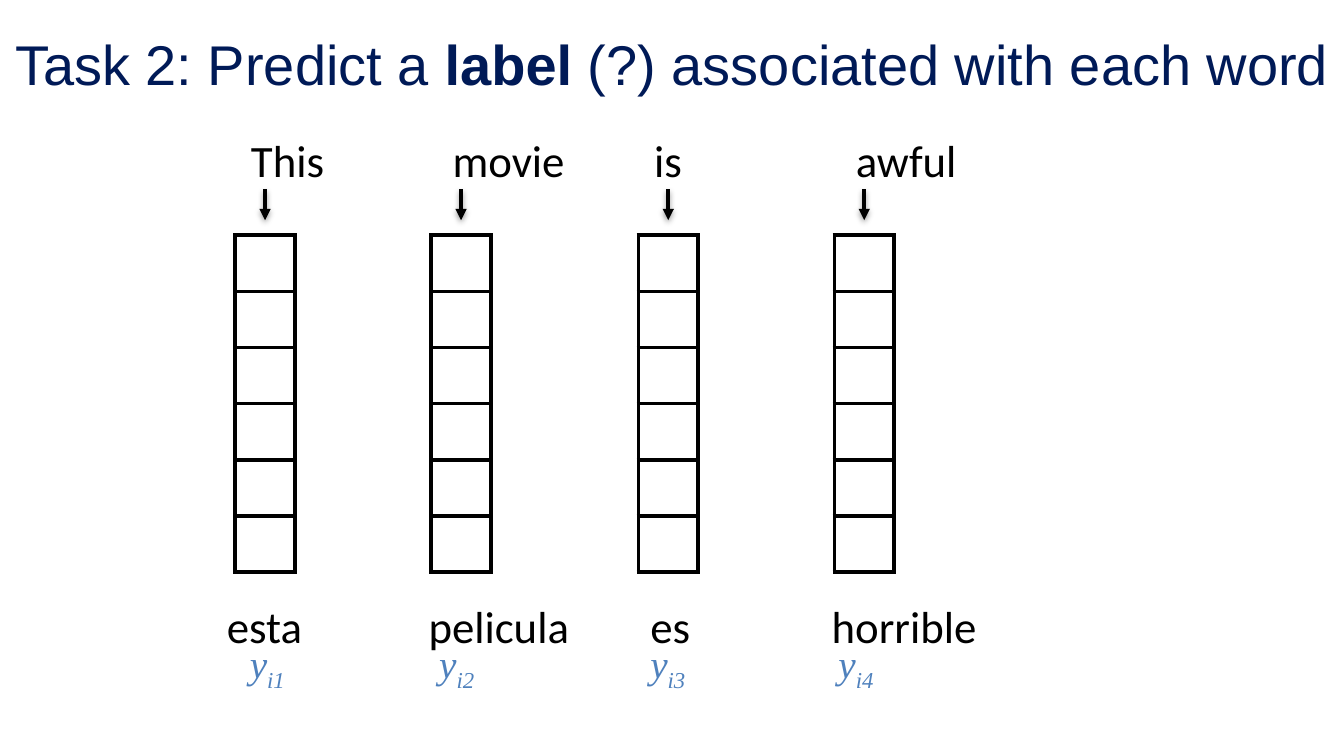
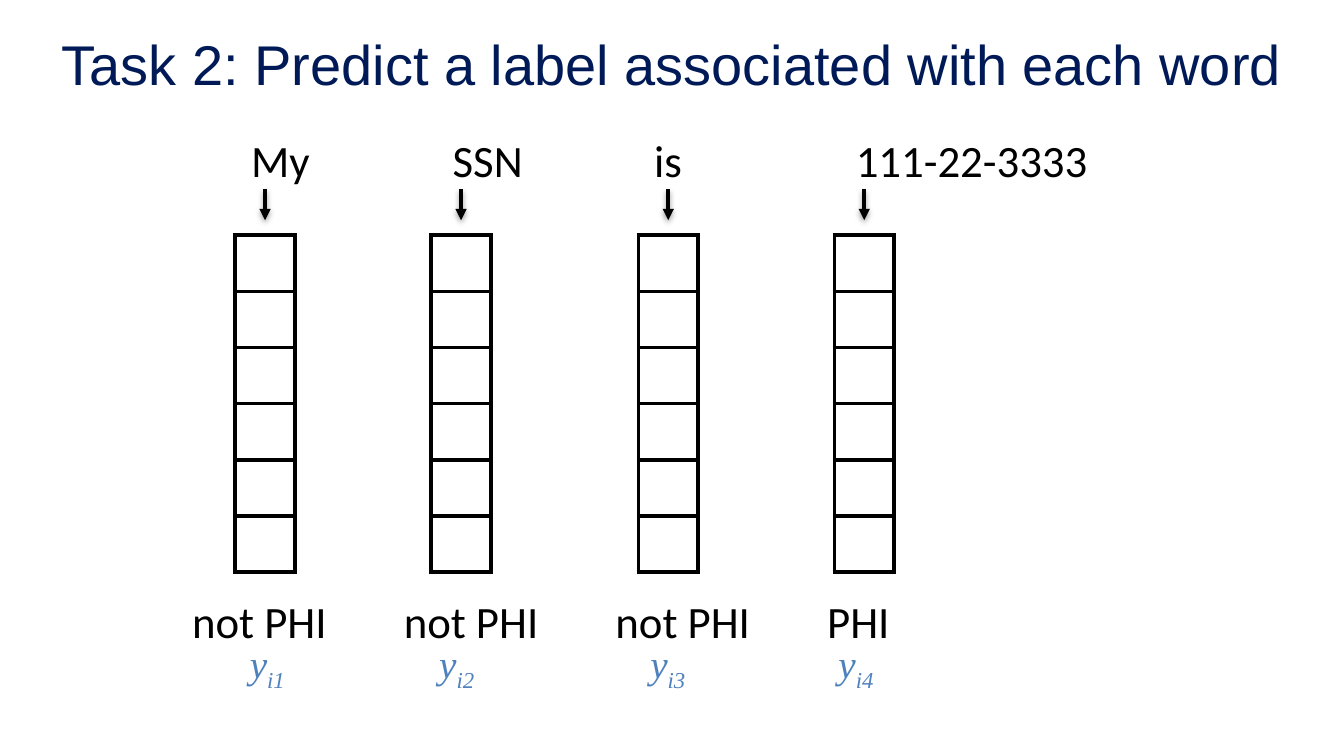
from lxml import etree
from pptx import Presentation
from pptx.dml.color import RGBColor
from pptx.enum.shapes import MSO_CONNECTOR as Connector
from pptx.enum.text import MSO_ANCHOR as Anchor, MSO_AUTO_SIZE as AutoSize, PP_ALIGN as Align
from pptx.oxml import parse_xml
from pptx.oxml.ns import nsdecls, qn
from pptx.util import Pt

COLORS = {"title": "001A57", "ink": "000000", "label": "4F81BD"}
VECTOR_LEFTS = [126, 231, 342, 447]
VECTOR_TOP, VECTOR_WIDTH = 126, 32
CELL_COUNT, CELL_HEIGHT = 6, 30.1
BORDER_WIDTH = 2.25
ARROW_TOP, ARROW_BOTTOM = 101.5, 118
LABEL_LEFTS = [126.7, 228.2, 341.3, 442.1]
WORD_TABS = [108, 216, 324]

SLIDES = [
    {
        "title": [("Task 2: Predict a ", False), ("label ", True),
                  ("(?) associated with each word", False)],
        "words": ["This", "movie", "is", "awful"],
        "words_width": 396,
        "answers": ["esta", "pelicula", "es", "horrible"],
        "answers_box": (114.5, 317, 420, 36),
        "answer_tabs": [108, 226.8, 324],
    },
    {
        "title": [("Task 2: Predict a label associated with each word", False)],
        "words": ["My", "SSN", "is", "111-22-3333"],
        "words_width": 466.5,
        "answers": ["not PHI", "not PHI", "not PHI", "PHI"],
        "answers_box": (95.8, 314.6, 397.5, 36),
        "answer_tabs": [113.4, 226.8, 340.2],
    },
]


def add_text_box(slide, box, wrap=True):
    """Add a text box and return its text frame and first paragraph."""
    frame = slide.shapes.add_textbox(*map(Pt, box)).text_frame
    frame.word_wrap = wrap
    return frame, frame.paragraphs[0]


def add_run(paragraph, text, font_name, size, color):
    run = paragraph.add_run()
    run.text = text
    run.font.name = font_name
    run.font.size = Pt(size)
    run.font.color.rgb = RGBColor.from_string(COLORS[color])
    return run


presentation = Presentation()
presentation.slide_width = Pt(720)
presentation.slide_height = Pt(405)

for content in SLIDES:
    slide = presentation.slides.add_slide(presentation.slide_layouts[6])

    # Title
    frame, paragraph = add_text_box(slide, (0, 0, 720, 67.5))
    frame.vertical_anchor = Anchor.MIDDLE
    frame.margin_left = frame.margin_right = 0
    paragraph.alignment = Align.CENTER
    for text, bold in content["title"]:
        add_run(paragraph, text, "Arial", 30, "title").font.bold = bold

    # Input words above the vectors, answers below, spaced by tab stops
    word_rows = [
        (content["words"], (127.4, 67.5, content["words_width"], 36), WORD_TABS),
        (content["answers"], content["answers_box"], content["answer_tabs"]),
    ]
    for words, box, tabs in word_rows:
        frame, paragraph = add_text_box(slide, box, wrap=False)
        frame.auto_size = AutoSize.SHAPE_TO_FIT_TEXT
        tab_list = etree.SubElement(paragraph._p.get_or_add_pPr(), qn("a:tabLst"))
        for position in tabs:
            etree.SubElement(tab_list, qn("a:tab"), pos=str(Pt(position)), algn="l")
        add_run(paragraph, "\t".join(words), "Calibri", 24, "ink")

    for number, (left, label_left) in enumerate(zip(VECTOR_LEFTS, LABEL_LEFTS), 1):
        # Word vector
        table = slide.shapes.add_table(
            CELL_COUNT, 1, Pt(left), Pt(VECTOR_TOP),
            Pt(VECTOR_WIDTH), Pt(CELL_COUNT * CELL_HEIGHT)).table
        table.first_row = table.horz_banding = False
        for row in table.rows:
            row.height = Pt(CELL_HEIGHT)
            cell = row.cells[0]
            properties = cell._tc.get_or_add_tcPr()
            for side in ("lnL", "lnR", "lnT", "lnB"):
                properties.append(parse_xml(
                    f'<a:{side} {nsdecls("a")} w="{Pt(BORDER_WIDTH)}"><a:solidFill>'
                    f'<a:srgbClr val="{COLORS["ink"]}"/></a:solidFill></a:{side}>'))
            cell.fill.background()

        # Arrow from the word to its vector
        center = Pt(left + VECTOR_WIDTH / 2)
        arrow = slide.shapes.add_connector(
            Connector.STRAIGHT, center, Pt(ARROW_TOP), center, Pt(ARROW_BOTTOM))
        arrow.line.width = Pt(2)
        arrow.line.color.rgb = RGBColor.from_string(COLORS["ink"])
        etree.SubElement(arrow.line._get_or_add_ln(), qn("a:tailEnd"), type="triangle")
        arrow._element.spPr.append(parse_xml(
            f'<a:effectLst {nsdecls("a")}><a:outerShdw blurRad="{Pt(3.1)}" '
            f'dist="{Pt(1.6)}" dir="5400000" rotWithShape="0">'
            f'<a:srgbClr val="{COLORS["ink"]}"><a:alpha val="38000"/></a:srgbClr>'
            f'</a:outerShdw></a:effectLst>'))

        # Label variable with its subscript
        frame, paragraph = add_text_box(slide, (label_left, 339, 37.4, 32.4))
        frame.auto_size = AutoSize.SHAPE_TO_FIT_TEXT
        for text in ("y", f"i{number}"):
            run = add_run(paragraph, text, "Times New Roman", 21, "label")
            run.font.italic = True
        run._r.get_or_add_rPr().set("baseline", "-25000")

presentation.save("out.pptx")
